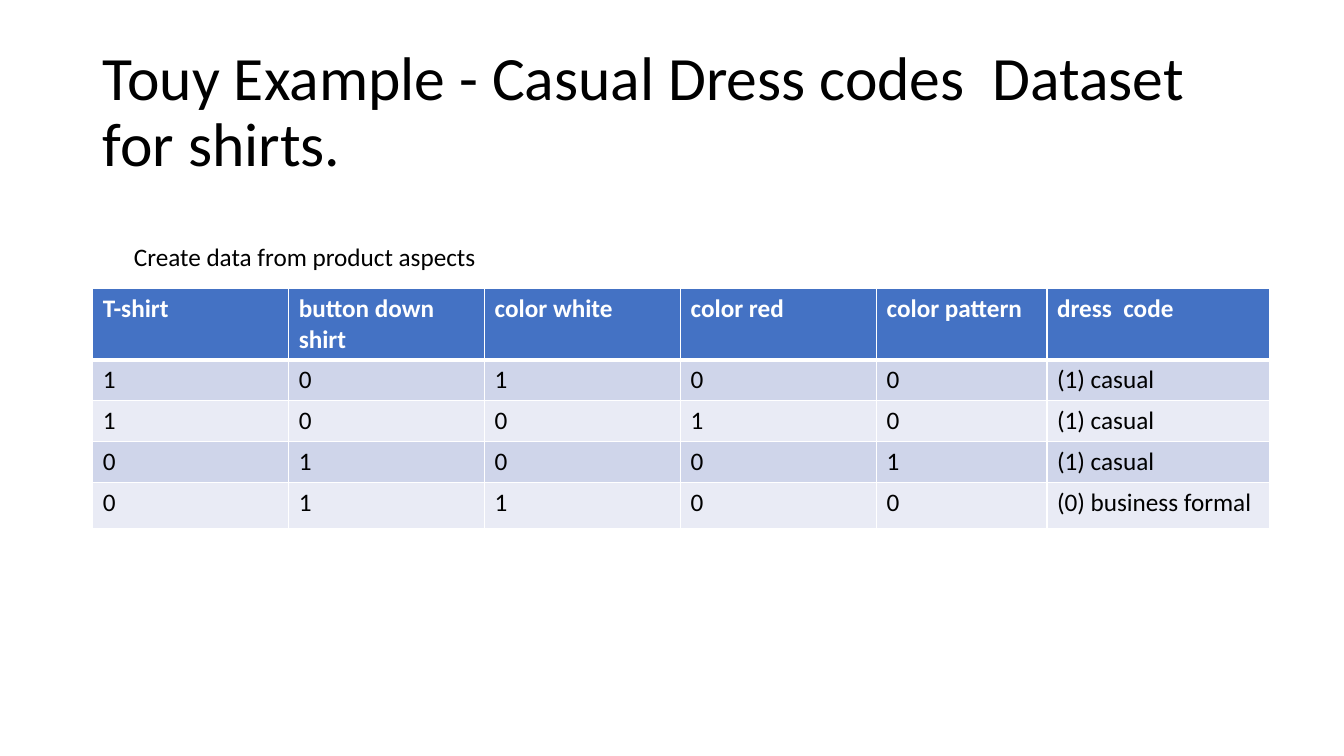
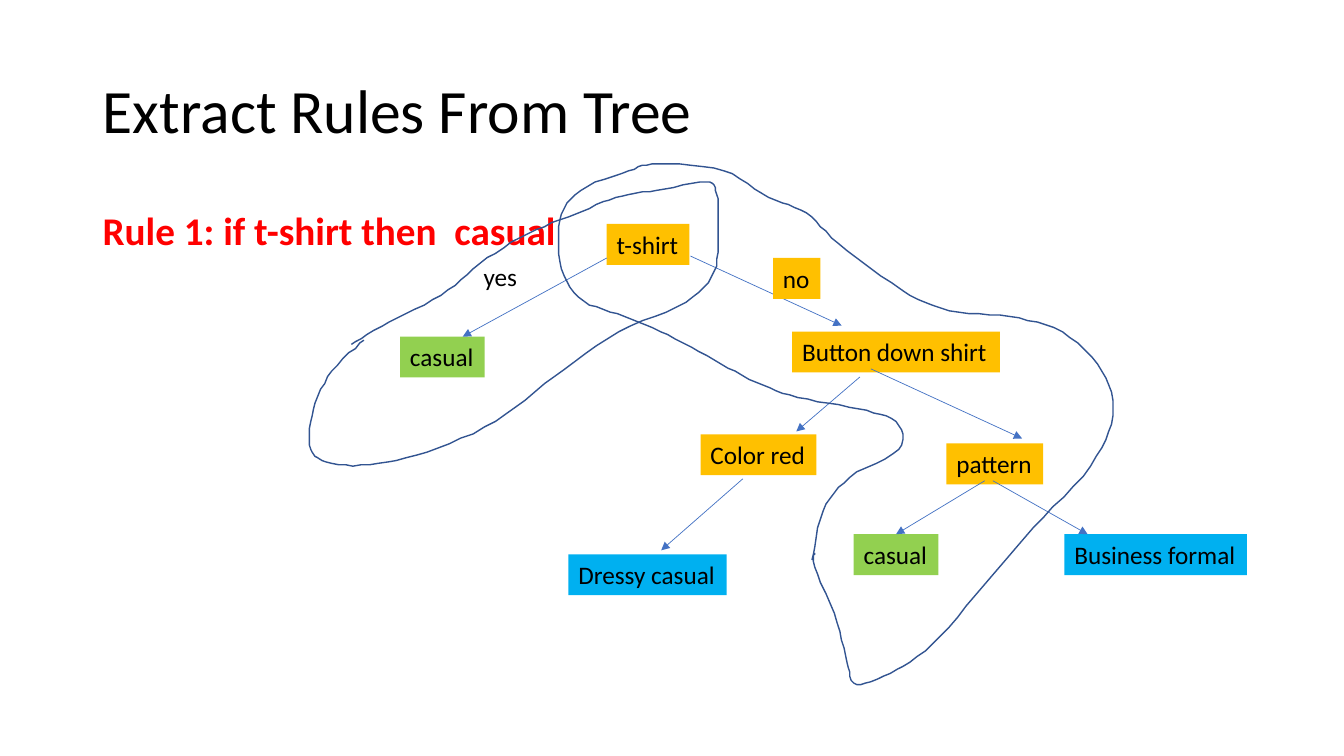
from itertools import chain

from lxml.etree import SubElement
from pptx import Presentation
from pptx.dml.color import RGBColor
from pptx.enum.shapes import MSO_CONNECTOR as Connector, MSO_SHAPE as Shape
from pptx.enum.text import MSO_ANCHOR as Anchor, MSO_AUTO_SIZE as AutoSize, PP_ALIGN as Align
from pptx.oxml.ns import qn
from pptx.util import Pt

BLACK = RGBColor(0x00, 0x00, 0x00)
WHITE = RGBColor(0xFF, 0xFF, 0xFF)
RED = RGBColor(0xFF, 0x00, 0x00)
BLUE = RGBColor(0x44, 0x72, 0xC4)
DARK_BLUE = RGBColor(0x32, 0x54, 0x91)
PALE_BLUE = RGBColor(0xCF, 0xD5, 0xEA)
PALER_BLUE = RGBColor(0xE9, 0xEB, 0xF5)
AMBER = RGBColor(0xFF, 0xC0, 0x00)
GREEN = RGBColor(0x92, 0xD0, 0x50)
SKY = RGBColor(0x00, 0xB0, 0xF0)

BODY = {"name": "Calibri", "size": Pt(18), "bold": False}
HEADER = {**BODY, "bold": True}
HEADING = {**BODY, "size": Pt(44)}
RULE = {**BODY, "size": Pt(28), "bold": True}
TITLE_PLACE = {"left": Pt(66.24), "top": Pt(28.8), "width": Pt(828), "height": Pt(104.4)}
INSETS = {
    "margin_left": Pt(7.2),
    "margin_right": Pt(7.2),
    "margin_top": Pt(3.6),
    "margin_bottom": Pt(3.6),
}
LINE_HEIGHT = Pt(29.2)
CURVE_STEPS = 6


def write(frame, text, style=BODY, color=BLACK, wrap=False, spacing=1.0, anchor=Anchor.TOP):
    frame.text = text
    fit = AutoSize.NONE if wrap else AutoSize.SHAPE_TO_FIT_TEXT
    layout = {**INSETS, "word_wrap": wrap, "auto_size": fit, "vertical_anchor": anchor}
    paragraph = frame.paragraphs[0]
    paragraph_format = {"alignment": Align.LEFT, "line_spacing": spacing}
    font = paragraph.runs[0].font
    for part, settings in ((frame, layout), (paragraph, paragraph_format), (font, style)):
        for key, value in settings.items():
            setattr(part, key, value)
    font.color.rgb = color


def smooth_curve(anchors):
    padded = [anchors[0], *anchors, anchors[-1]]
    curve = [anchors[0]]
    for before, start, end, after in zip(padded, padded[1:], padded[2:], padded[3:]):
        for step in range(1, CURVE_STEPS + 1):
            t = step / CURVE_STEPS
            curve.append(tuple(
                b + ((c - a) * t + (2 * a - 5 * b + 4 * c - d) * t ** 2
                     + (3 * b - a - 3 * c + d) * t ** 3) / 2
                for a, b, c, d in zip(before, start, end, after)))
    return curve


deck = Presentation()
deck.slide_width, deck.slide_height = Pt(960), Pt(540)

titled_slides = []
for heading in (
    "Touy Example - Casual Dress codes  Dataset for shirts.",
    "Extract Rules From Tree",
):
    slide = deck.slides.add_slide(deck.slide_layouts[5])
    for key, value in TITLE_PLACE.items():
        setattr(slide.shapes.title, key, value)
    write(slide.shapes.title.text_frame, heading, HEADING,
          wrap=True, spacing=0.9, anchor=Anchor.MIDDLE)
    titled_slides.append(slide)
dataset_slide, tree_slide = titled_slides

records = [
    ["T-shirt", "button down shirt", "color white", "color red", "color pattern", "dress  code"],
    ["1", "0", "1", "0", "0", "(1) casual"],
    ["1", "0", "0", "1", "0", "(1) casual"],
    ["0", "1", "0", "0", "1", "(1) casual"],
    ["0", "1", "1", "0", "0", "(0) business formal"],
]
column_widths = [Pt(140)] * 4 + [Pt(121.7), Pt(159)]
row_heights = [Pt(51.2)] + [LINE_HEIGHT] * 3 + [Pt(33.1)]
dataset = dataset_slide.shapes.add_table(
    len(records), len(column_widths), TITLE_PLACE["left"], Pt(205.9),
    sum(column_widths), sum(row_heights)).table
for column, width in zip(dataset.columns, column_widths):
    column.width = width
for row_index, (row, height, record) in enumerate(zip(dataset.rows, row_heights, records)):
    row.height = height
    is_header = row_index == 0
    band_color = (PALER_BLUE, PALE_BLUE)[row_index % 2]
    for cell, value in zip(row.cells, record):
        if is_header:
            rule_below = SubElement(cell._tc.get_or_add_tcPr(), qn("a:lnB"), w=str(Pt(3)))
            rule_fill = SubElement(rule_below, qn("a:solidFill"))
            SubElement(rule_fill, qn("a:srgbClr"), val=str(WHITE))
        cell.fill.solid()
        cell.fill.fore_color.rgb = BLUE if is_header else band_color
        cell.text = value
        font = cell.text_frame.paragraphs[0].runs[0].font
        for key, setting in (HEADER if is_header else BODY).items():
            setattr(font, key, setting)
        font.color.rgb = WHITE if is_header else BLACK

caption = dataset_slide.shapes.add_textbox(Pt(88.6), Pt(168.5), Pt(261.4), LINE_HEIGHT)
write(caption.text_frame, "Create data from product aspects")

rule = tree_slide.shapes.add_textbox(
    TITLE_PLACE["left"], Pt(147.6), TITLE_PLACE["width"], Pt(339))
write(rule.text_frame, "Rule 1: if t-shirt then  casual", RULE, RED, wrap=True, spacing=0.9)

nodes_by_color = {
    AMBER: [
        ("t-shirt", 433.4, 160, 59),
        ("Button down shirt", 565.9, 236.9, 148.3),
        ("Color red", 500.4, 310.3, 82.8),
        ("pattern", 676.1, 316.8, 69.1),
    ],
    GREEN: [("casual", 285.8, 240.5, 60.5), ("casual", 609.8, 381.6, 60.5)],
    SKY: [("Dressy casual", 406.1, 396, 113), ("Business formal", 760.3, 381.6, 130.3)],
}
nodes = {}
for color, group in nodes_by_color.items():
    for text, left, top, width in group:
        node = tree_slide.shapes.add_shape(
            Shape.RECTANGLE, Pt(left), Pt(top), Pt(width), LINE_HEIGHT)
        node.shadow.inherit = False
        node.fill.solid()
        node.fill.fore_color.rgb = color
        node.line.fill.background()
        write(node.text_frame, text)
        nodes[text] = node
pattern_casual = nodes["casual"]

branches = {
    "t-shirt: yes": ((433.4, 184.3), (330.5, 240.5)),
    "t-shirt: no": ((493.2, 182.9), (601.2, 232.6)),
    "button down to red": ((614.2, 269.3), (568.8, 308.2)),
    "button down to pattern": ((622.1, 263.5), (730.1, 313.2)),
    "red to dressy": ((530.6, 342), (472.3, 393.1)),
    "pattern to formal": ((709.2, 343.4), (776.9, 381.6)),
    "pattern to casual": ((703.4, 343.4), (640.1, 381.6)),
}
for route, (start, end) in branches.items():
    branch = tree_slide.shapes.add_connector(Connector.STRAIGHT, *map(Pt, start + end))
    if route == "pattern to casual":
        branch.end_connect(pattern_casual, 0)
    branch.line.color.rgb = BLUE
    branch.line.width = Pt(0.5)
    SubElement(branch.line._get_or_add_ln(), qn("a:tailEnd"), type="triangle")
    SubElement(branch._element.spPr, qn("a:effectLst"))

casual_rule_loop = {
    "up to t-shirt": [(251, 246), (278, 230), (315, 211), (343, 188), (377, 167), (411, 153),
                      (440, 141), (469, 136)],
    "around t-shirt": [(504, 130), (512, 139), (513, 166), (510, 194), (490, 216)],
    "down to casual": [(442, 237), (396, 269), (354, 301), (305, 323), (264, 332)],
    "around casual": [(233, 330), (221, 318), (224, 292), (237, 265), (260, 243)],
}
pattern_rule_loop = {
    "past pattern casual": [(580, 400), (588, 365), (607, 341), (642, 321), (640, 301),
                            (613, 292)],
    "up to t-shirt": [(570, 284), (540, 273), (510, 257), (477, 239), (446, 226), (417, 215)],
    "around t-shirt": [(401, 192), (400, 157), (415, 136), (449, 122), (471, 117), (517, 122)],
    "down past button down": [(549, 141), (576, 152), (599, 174), (644, 207), (678, 222)],
    "around pattern": [(721, 226), (759, 237), (787, 265), (795, 297), (779, 333)],
    "below pattern casual": [(738, 377), (702, 419), (666, 460), (636, 481), (612, 489)],
    "back to the start": [(606, 477), (598, 445), (582, 405), (582, 395)],
}
for stretches in (casual_rule_loop, pattern_rule_loop):
    first, *rest = smooth_curve(list(chain.from_iterable(stretches.values())))
    builder = tree_slide.shapes.build_freeform(*first, scale=Pt(1))
    builder.add_line_segments(rest, close=False)
    rule_loop = builder.convert_to_shape()
    rule_loop.shadow.inherit = False
    rule_loop.fill.background()
    rule_loop.line.color.rgb = DARK_BLUE
    rule_loop.line.width = Pt(1)

for answer, left, top, width, color in (
    ("yes", 338.4, 182.9, 38.9, None),
    ("no", 552.2, 184.3, 33.8, AMBER),
):
    label = tree_slide.shapes.add_textbox(Pt(left), Pt(top), Pt(width), LINE_HEIGHT)
    if color:
        label.fill.solid()
        label.fill.fore_color.rgb = color
    write(label.text_frame, answer)

deck.save("out.pptx")
